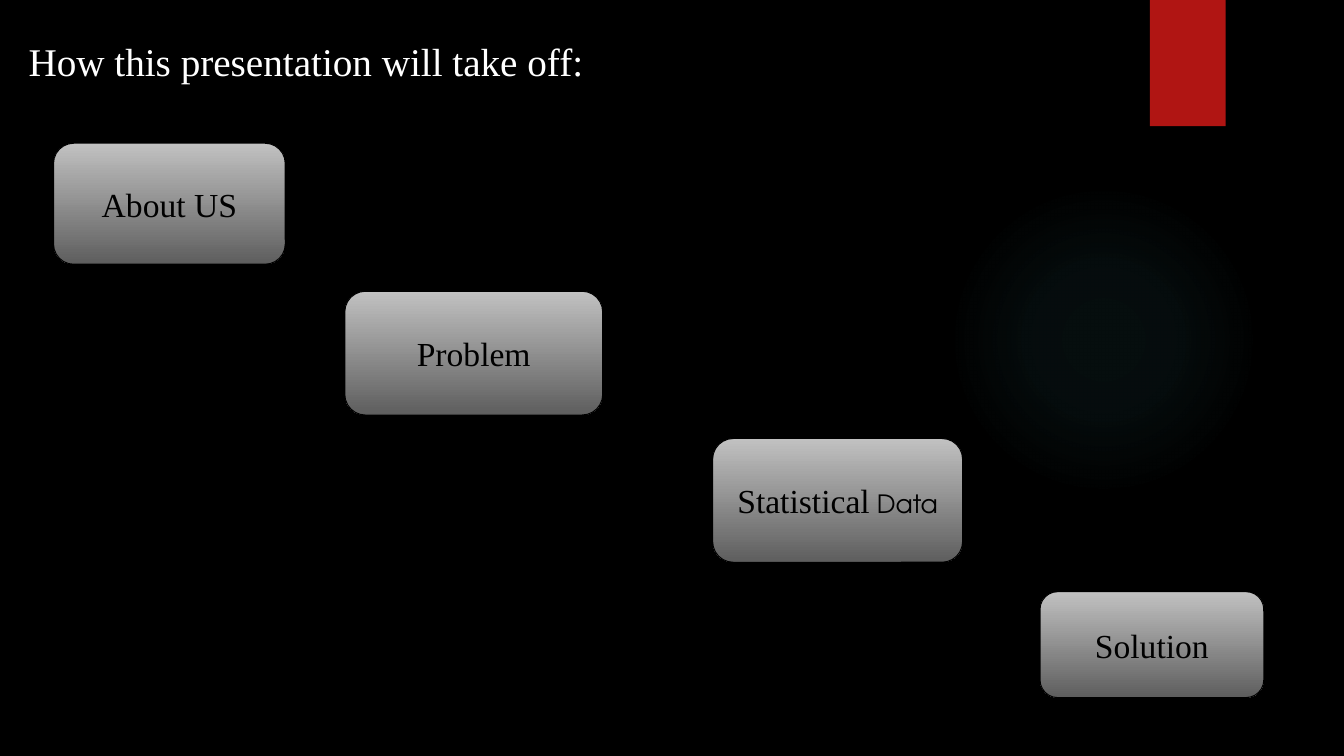
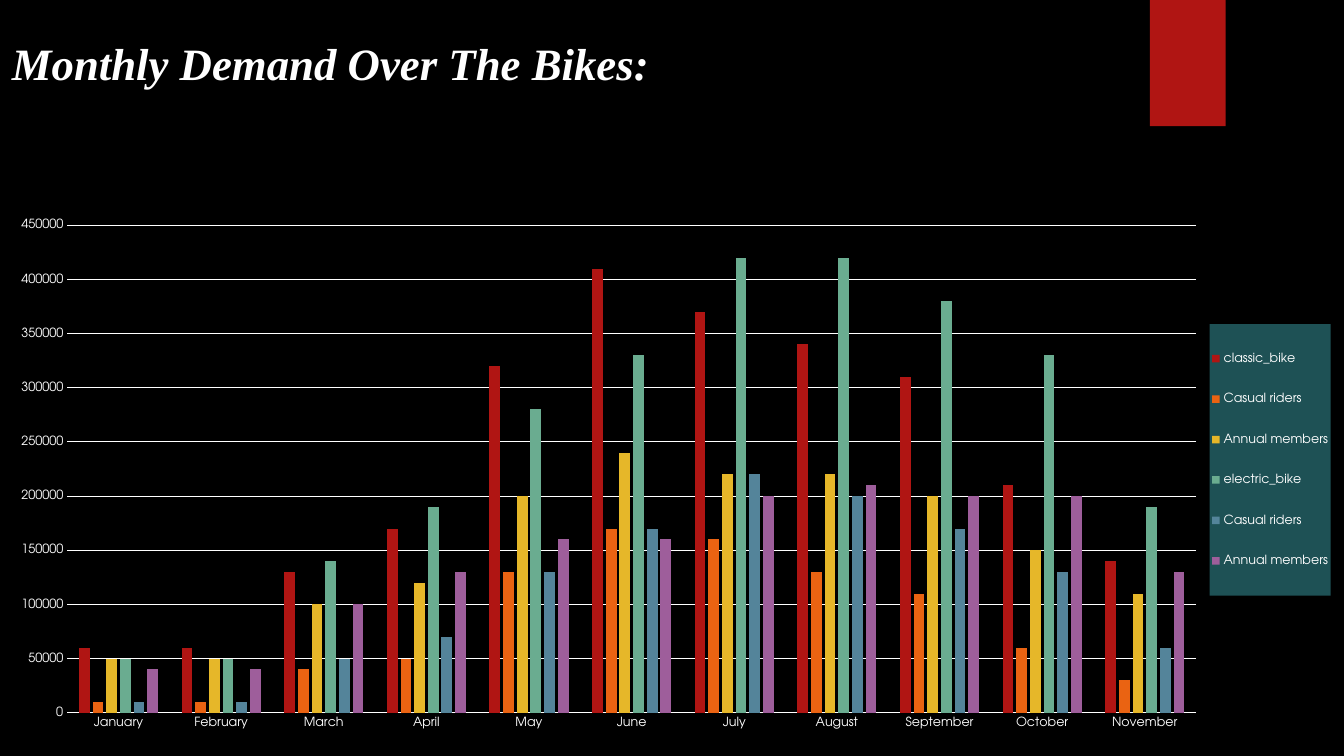
import dataclasses

import pptx
import pptx.chart.data
import pptx.dml.color
import pptx.enum.chart
import pptx.enum.shapes
import pptx.enum.text
import pptx.oxml
import pptx.oxml.ns
import pptx.util
from pptx.util import Cm, Pt


@dataclasses.dataclass(frozen=True)
class Theme:
    black: str = "000000"
    white: str = "FFFFFF"
    red: str = "B01513"
    glow: str = "50B9C1"
    legend: str = "1E5155"
    box_top: str = "C1C1C1"
    box_bottom: str = "5E5E5E"
    series: tuple = ("B01513", "EA6312", "E6B729", "6AAC90", "54849A", "9E5E9B")
    serif: str = "Times New Roman"
    sans: str = "TeX Gyre Adventor"
    agenda_title_size: int = 28
    chart_title_size: int = 32
    box_size: int = 24
    small_box_size: int = 18
    chart_size: int = 10
    label_size: int = 9
    line_width: float = 0.75


theme = Theme()
rgb = pptx.dml.color.RGBColor.from_string


def set_font(font, name, size, color):
    font.name = name
    font.size = Pt(size)
    font.color.rgb = rgb(color)


def make_xml(tag, content):
    """Make one element in the drawing (a) or chart (c) namespace."""
    names = pptx.oxml.ns.nsdecls("a", "c")
    return pptx.oxml.parse_xml(f"<{tag} {names}>{content}</{tag}>")


shape_kind = pptx.enum.shapes.MSO_SHAPE

deck = pptx.Presentation()
deck.slide_width = Cm(33.87)
deck.slide_height = Cm(19.05)
layout = deck.slide_layouts.get_by_name("Title Only")

# Shared background
layout.background.fill.solid()
layout.background.fill.fore_color.rgb = rgb(theme.black)

# Slides and their titles
titles = [
    ("How this presentation will take off:", theme.agenda_title_size, False,
     (0, 0.38, 15.42, 2.31)),
    ("Monthly Demand Over The Bikes:", theme.chart_title_size, True,
     (-0.25, 0.56, 17.17, 2.06)),
]
slides = []
for text, size, emphasis, place in titles:
    slide = deck.slides.add_slide(layout)
    title = slide.shapes.title
    title.left, title.top, title.width, title.height = map(Cm, place)
    frame = title.text_frame
    frame.text = text
    frame.word_wrap = True
    frame.auto_size = pptx.enum.text.MSO_AUTO_SIZE.NONE
    frame.vertical_anchor = pptx.enum.text.MSO_ANCHOR.MIDDLE
    para = frame.paragraphs[0]
    para.alignment = pptx.enum.text.PP_ALIGN.CENTER
    set_font(para.font, theme.serif, size, theme.white)
    para.font.bold = para.font.italic = emphasis
    slides.append(slide)
agenda, demand = slides

# Shared glow and red band, moved from the first slide into the layout
glow = agenda.shapes.add_shape(shape_kind.OVAL, Cm(23.9), Cm(4.65), Cm(7.82), Cm(7.82))
band = agenda.shapes.add_shape(shape_kind.RECTANGLE, Cm(28.98), 0, Cm(1.91), Cm(3.18))
band.fill.solid()
band.fill.fore_color.rgb = rgb(theme.red)
glow.fill.background()
stops = "".join(
    f'<a:gs pos="{position}000"><a:srgbClr val="{theme.glow}">'
    f'<a:alpha val="{alpha}000"/></a:srgbClr></a:gs>'
    for position, alpha in ((0, 7), (36, 6), (69, 0))
)
no_fill = glow.element.xpath("./p:spPr/a:noFill")[0]
no_fill.getparent().replace(no_fill, make_xml(
    "a:gradFill",
    f'<a:gsLst>{stops}</a:gsLst><a:path path="circle">'
    '<a:fillToRect l="50000" t="50000" r="50000" b="50000"/></a:path>',
))
for index, shape in enumerate((glow, band)):
    shape.line.fill.background()
    shape.shadow.inherit = False
    shape.element.xpath("./p:nvSpPr/p:cNvPr")[0].set("id", str(100 + index))
    layout.shapes.element.insert(2 + index, shape.element)
band.element.xpath("./p:spPr/a:effectLst")[0].append(pptx.oxml.parse_xml(
    f'<a:outerShdw {pptx.oxml.ns.nsdecls("a")} blurRad="{Pt(3)}" dist="{Pt(2)}" '
    f'dir="5400000"><a:srgbClr val="{theme.black}"><a:alpha val="45000"/>'
    "</a:srgbClr></a:outerShdw>"
))

# Agenda steps: place, main words, smaller words
steps = [
    ((1.35, 3.61, 5.84, 3.05), "About US", ""),
    ((8.69, 7.34, 6.5, 3.12), "Problem", ""),
    ((17.96, 11.05, 6.3, 3.12), "Statistical", " Data"),
    ((26.21, 14.91, 5.64, 2.67), "Solution", ""),
]
for place, words, small_words in steps:
    box = agenda.shapes.add_shape(shape_kind.ROUNDED_RECTANGLE, *map(Cm, place))
    box.shadow.inherit = False
    box.fill.gradient()
    box.fill.gradient_angle = 270
    for stop, color in zip(box.fill.gradient_stops, (theme.box_top, theme.box_bottom)):
        stop.color.rgb = rgb(color)
    box.line.color.rgb = rgb(theme.black)
    box.line.width = Pt(theme.line_width)
    box.text_frame.word_wrap = True
    box.text_frame.vertical_anchor = pptx.enum.text.MSO_ANCHOR.MIDDLE
    para = box.text_frame.paragraphs[0]
    para.alignment = pptx.enum.text.PP_ALIGN.CENTER
    set_font(para.font, theme.serif, theme.box_size, theme.black)
    para.add_run().text = words
    if small_words:
        span = para.add_run()
        span.text = small_words
        set_font(span.font, theme.sans, theme.small_box_size, theme.black)

# Monthly demand, in thousands of rides
monthly_demand = [
    ("classic_bike", (60, 60, 130, 170, 320, 410, 370, 340, 310, 210, 140)),
    ("Casual riders", (10, 10, 40, 50, 130, 170, 160, 130, 110, 60, 30)),
    ("Annual members", (50, 50, 100, 120, 200, 240, 220, 220, 200, 150, 110)),
    ("electric_bike", (50, 50, 140, 190, 280, 330, 420, 420, 380, 330, 190)),
    ("Casual riders", (10, 10, 50, 70, 130, 170, 220, 200, 170, 130, 60)),
    ("Annual members", (40, 40, 100, 130, 160, 160, 200, 210, 200, 200, 130)),
]
data = pptx.chart.data.CategoryChartData()
data.categories = ["January", "February", "March", "April", "May", "June", "July",
                   "August", "September", "October", "November"]
for name, thousands in monthly_demand:
    data.add_series(name, [value * 1000 for value in thousands])
chart = demand.shapes.add_chart(
    pptx.enum.chart.XL_CHART_TYPE.COLUMN_CLUSTERED,
    0, Cm(3.5), deck.slide_width, Cm(15.55), data,
).chart
chart.has_title = False
set_font(chart.font, theme.sans, theme.chart_size, theme.white)

# Columns
plot = chart.plots[0]
plot.vary_by_categories = False
plot.gap_width = 219
plot.overlap = -27
for series, color in zip(plot.series, theme.series):
    series.format.fill.solid()
    series.format.fill.fore_color.rgb = rgb(color)
    series.invert_if_negative = False

# Axes and grid
months, rides = chart.category_axis, chart.value_axis
for axis in (months, rides):
    axis.major_tick_mark = axis.minor_tick_mark = pptx.enum.chart.XL_TICK_MARK.NONE
    set_font(axis.tick_labels.font, theme.sans, theme.label_size, theme.white)
rides.minimum_scale = 0
rides.maximum_scale = 450000
rides.major_unit = 50000
rides.has_major_gridlines = True
rides.format.line.fill.background()
for line in (months.format.line, rides.major_gridlines.format.line):
    line.color.rgb = rgb(theme.white)
    line.width = Pt(theme.line_width)

# Legend
chart.has_legend = True
legend = chart.legend
legend.position = pptx.enum.chart.XL_LEGEND_POSITION.CORNER
legend.include_in_layout = False
set_font(legend.font, theme.sans, theme.label_size, theme.white)

# Chart and legend fills
for part, color in (("./c:chart", theme.black),
                    ("./c:chart/c:legend/c:overlay", theme.legend)):
    chart.element.xpath(part)[0].addnext(make_xml(
        "c:spPr",
        f'<a:solidFill><a:srgbClr val="{color}"/></a:solidFill>'
        "<a:ln><a:noFill/></a:ln>",
    ))

# Plot and legend places, as shares of the chart
plot_area = chart.element.xpath("./c:chart/c:plotArea")[0]
legend_area = chart.element.xpath("./c:chart/c:legend")[0]
for area, position, target, shares in (
    (plot_area, 0, '<c:layoutTarget val="inner"/>', (0.05, 0.14, 0.84, 0.79)),
    (legend_area, 1, "", (0.9, 0.3, 0.09, 0.44)),
):
    for old_layout in area.xpath("./c:layout"):
        area.remove(old_layout)
    modes = '<c:xMode val="edge"/><c:yMode val="edge"/>'
    lengths = "".join(f'<c:{key} val="{share}"/>' for key, share in zip("xywh", shares))
    area.insert(position, make_xml(
        "c:layout", f"<c:manualLayout>{target}{modes}{lengths}</c:manualLayout>"
    ))

deck.save("out.pptx")
